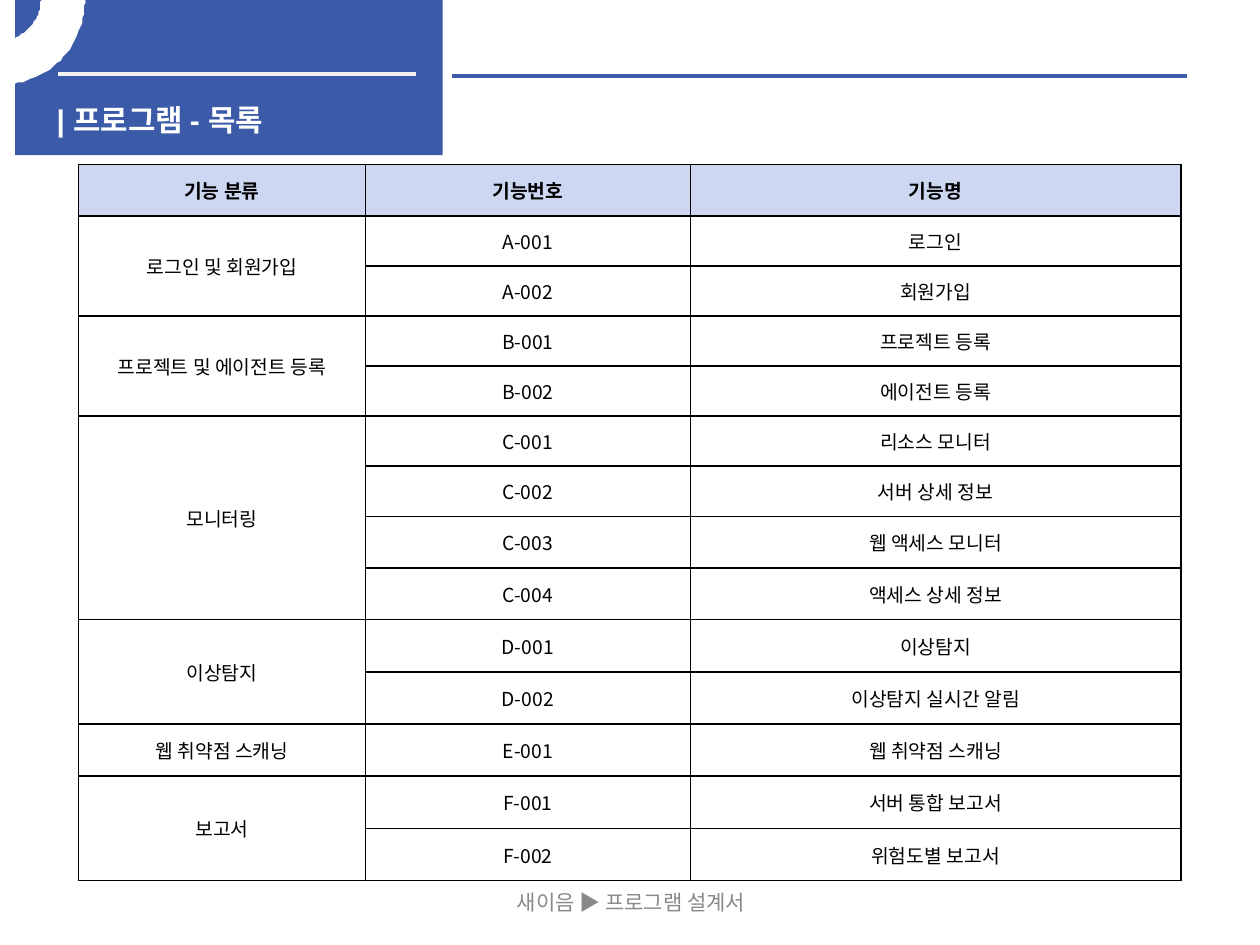
"""Builds the program list slide: a blue title band and a table of functions."""
import math
from lxml import etree
from pptx import Presentation, util as u
from pptx.dml.color import RGBColor
from pptx.enum import shapes, text
from pptx.oxml import ns

Pt = u.Pt
HUES = {"blue": "3B5AA8", "pale": "C0CDEF", "white": "FFFFFF",
        "light": "F2F2F2", "gray": "898989", "black": "000000"}
SANS = "Noto Sans CJK KR"


def hue(name):
    return RGBColor.from_string(HUES[name])


def write(frame, words, size, color, font=SANS, bold=False, align=text.PP_ALIGN.CENTER):
    para = frame.paragraphs[0]
    para.alignment = align
    run = para.add_run()
    run.text = words
    run.font.size = Pt(size)
    run.font.bold = bold
    run.font.color.rgb = hue(color)
    run.font.name = font
    etree.SubElement(run.font._element, ns.qn("a:ea"), typeface=SANS)


deck = Presentation()
deck.slide_width, deck.slide_height = Pt(719.3), Pt(539.3)
slide = deck.slides.add_slide(deck.slide_layouts[6])
items = slide.shapes

foot = items.add_textbox(Pt(246.2), Pt(500.4), Pt(228.2), Pt(28.8)).text_frame
foot.word_wrap = True
foot.vertical_anchor = text.MSO_ANCHOR.MIDDLE
write(foot, "새이음 ▶ 프로그램 설계서", 12, "gray")

band = items.add_shape(shapes.MSO_SHAPE.RECTANGLE, Pt(8.6), 0, Pt(244.1), Pt(88.6))
band.shadow.inherit = False
band.fill.solid()
band.fill.fore_color.rgb = hue("blue")
band.line.fill.background()

for left, right, y, color in [(33.1, 237.6, 42.5, "light"), (257.8, 677.5, 43.2, "blue")]:
    rule = items.add_connector(shapes.MSO_CONNECTOR.STRAIGHT, Pt(left), Pt(y), Pt(right), Pt(y))
    rule.line.color.rgb = hue(color)
    rule.line.width = Pt(2.25)
    etree.SubElement(rule._element.spPr, ns.qn("a:effectLst"))

title = items.add_textbox(Pt(25.2), Pt(54.7), Pt(221), Pt(23)).text_frame
title.word_wrap = True
write(title, "| 프로그램 - 목록", 17, "white", "Arial", True, text.PP_ALIGN.LEFT)

steps = range(0, 91, 3)
arc = [(46.8, a) for a in steps] + [(23.4, a) for a in reversed(steps)]
points = [(0.7 + r * math.cos(math.radians(a)), 0.7 + r * math.sin(math.radians(a)))
          for r, a in arc]
pen = items.build_freeform(*points[0], scale=Pt(1))
pen.add_line_segments(points[1:], close=True)
ring = pen.convert_to_shape()
ring.shadow.inherit = False
ring.fill.solid()
ring.fill.fore_color.rgb = hue("white")
ring.line.color.rgb = hue("white")
ring.line.width = Pt(2)

GROUPS = [
    ("로그인 및 회원가입", "A", ["로그인", "회원가입"]),
    ("프로젝트 및 에이전트 등록", "B", ["프로젝트 등록", "에이전트 등록"]),
    ("모니터링", "C", ["리소스 모니터", "서버 상세 정보", "웹 액세스 모니터", "액세스 상세 정보"]),
    ("이상탐지", "D", ["이상탐지", "이상탐지 실시간 알림"]),
    ("웹 취약점 스캐닝", "E", ["웹 취약점 스캐닝"]),
    ("보고서", "F", ["서버 통합 보고서", "위험도별 보고서"]),
]
rows = [("기능 분류", "기능번호", "기능명")]
spans = []
for group, code, names in GROUPS:
    spans.append((len(rows), len(rows) + len(names) - 1))
    for n, name in enumerate(names, 1):
        rows.append((group if n == 1 else "", f"{code}-{n:03}", name))

grid = items.add_table(len(rows), 3, Pt(44.9), Pt(93.8), Pt(629.3), Pt(408.2)).table
for col, width in zip(grid.columns, (163.7, 185.5, 280.1)):
    col.width = Pt(width)
heights = [29.4] + [28.6] * 6 + [29.5] * 2 + [29.8] * 5
for row, height in zip(grid.rows, heights):
    row.height = Pt(height)

for r, row in enumerate(rows):
    for c, words in enumerate(row):
        cell = grid.cell(r, c)
        cell.vertical_anchor = text.MSO_ANCHOR.MIDDLE
        if words:
            write(cell.text_frame, words, 11, "black", bold=r == 0)
        props = cell._tc.get_or_add_tcPr()
        if r == 0:
            cell.fill.solid()
            cell.fill.fore_color.rgb = hue("pale")
            shade = props.find(".//" + ns.qn("a:srgbClr"))
            etree.SubElement(shade, ns.qn("a:alpha"), val="79000")
        else:
            cell.fill.background()
        for n, side in enumerate("LRTB"):
            edge = etree.Element(ns.qn("a:ln" + side), w=str(Pt(1)))
            ink = etree.SubElement(edge, ns.qn("a:solidFill"))
            etree.SubElement(ink, ns.qn("a:srgbClr"), val=HUES["black"])
            props.insert(n, edge)

for top, end in spans:
    if end > top:
        grid.cell(top, 0).merge(grid.cell(end, 0))

deck.save("out.pptx")
